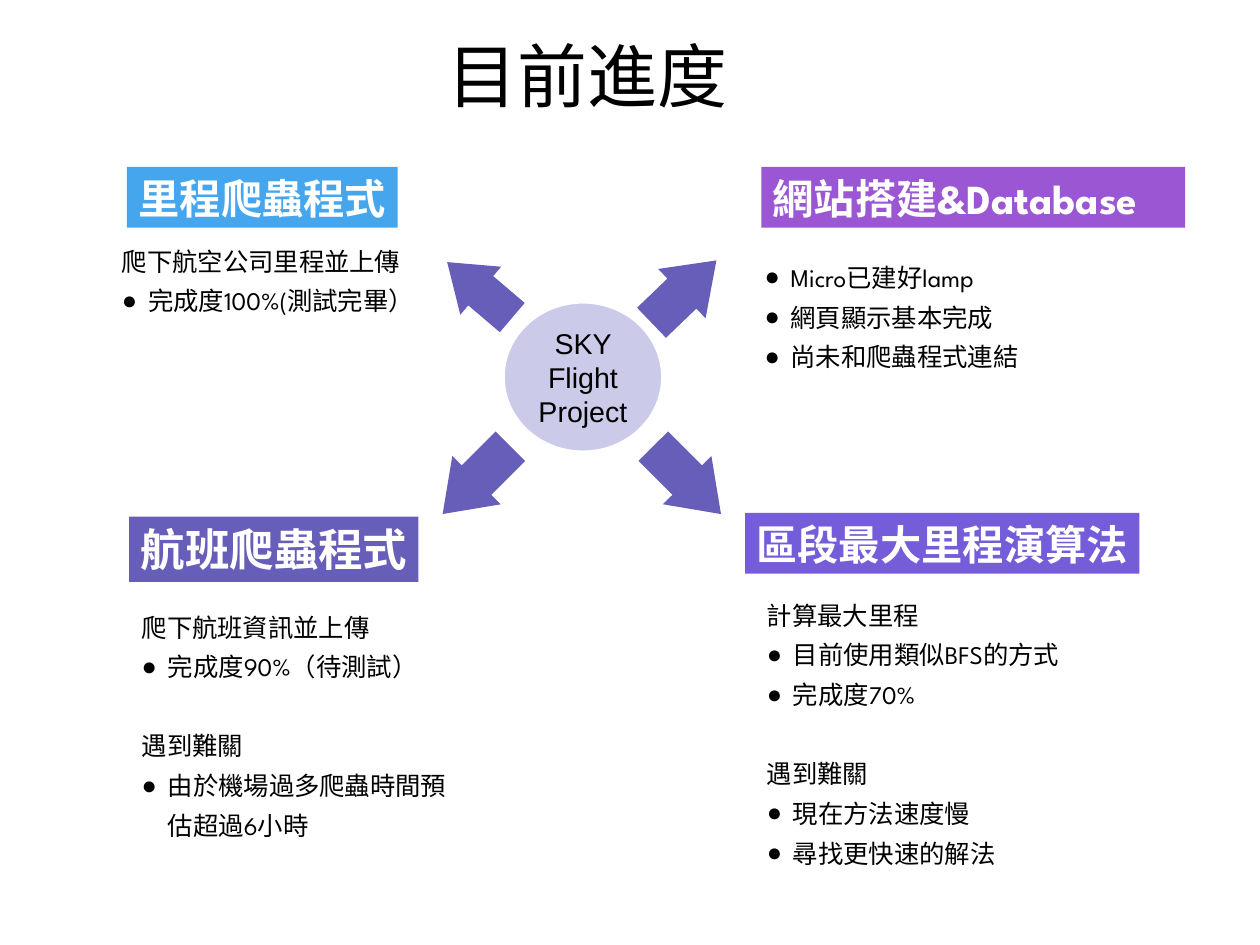
"""Builds the progress slide of a flight project: a hub, four arrows and four topics."""
from lxml.etree import SubElement
from pptx import Presentation
from pptx.dml.color import RGBColor
from pptx.enum.shapes import MSO_SHAPE as Shape
from pptx.enum.text import MSO_ANCHOR as Anchor, MSO_AUTO_SIZE as AutoSize, PP_ALIGN as Align
from pptx.oxml.ns import qn
from pptx.util import Cm, Pt

BULLET = "●"
HANGING = Cm(0.58)

TOPICS = [
    {"heading": "里程爬蟲程式", "color": "45A5ED", "size": 26, "align": Align.RIGHT,
     "bar": (2.82, 3.71, 6.02, 1.35), "area": (2.46, 5.13, 8.64, 2.01),
     "lines": ["爬下航空公司里程並上傳", "●完成度100%(測試完畢）"]},
    {"heading": "網站搭建&Database", "color": "9B57D3", "size": 26, "align": Align.LEFT,
     "bar": (16.92, 3.71, 9.42, 1.35), "area": (16.74, 5.49, 6.76, 2.9),
     "lines": ["●Micro已建好lamp", "●網頁顯示基本完成", "●尚未和爬蟲程式連結"]},
    {"heading": "航班爬蟲程式", "color": "665EB8", "size": 28, "align": Align.RIGHT,
     "bar": (2.87, 11.48, 6.43, 1.45), "area": (2.9, 13.26, 7.47, 5.54),
     "lines": ["爬下航班資訊並上傳", "●完成度90%（待測試）",
               "遇到難關", "●由於機場過多爬蟲時間預估超過6小時"]},
    {"heading": "區段最大里程演算法", "color": "755DD9", "size": 26, "align": Align.LEFT,
     "bar": (16.56, 11.4, 8.76, 1.35), "area": (16.79, 13, 8.97, 6.4),
     "lines": ["計算最大里程", "●目前使用類似BFS的方式", "●完成度70%",
               "遇到難關", "●現在方法速度慢", "●尋找更快速的解法"]},
]

ARROWS = [
    (10.59, 10.67, 2.13, 1.52, 135),
    (15.27, 10.67, 2.13, 1.52, 45.1),
    (10.66, 6.44, 1.9, 1.4, 220.4),
    (15.2, 6.48, 2, 1.52, 316.1),
]


def color(value):
    """Turn a hex string into a colour."""
    return RGBColor.from_string(value)


class ProgressPage:
    """Holds the style and the current slide."""

    text_font = "League Spartan"
    plain_font = "Arial"
    ink = "000000"
    arrow_fill = "665EB8"

    def __init__(self, page):
        """Keep the slide to draw on."""
        self.page = page

    def place(self, box, area):
        """Move and size a box, in centimetres."""
        box.left, box.top, box.width, box.height = (Cm(length) for length in area)

    def frame(self, box, margins, anchor):
        """Set margins (left, top, right, bottom) and anchor of a text frame."""
        frame = box.text_frame
        frame.word_wrap = True
        frame.auto_size = AutoSize.NONE
        frame.vertical_anchor = anchor
        (frame.margin_left, frame.margin_top,
         frame.margin_right, frame.margin_bottom) = (Cm(margin) for margin in margins)
        return frame

    def style(self, para, font, size, ink, align, bold=False):
        """Set font and alignment of a paragraph."""
        para.alignment = align
        para.font.name = font
        para.font.size = Pt(size)
        para.font.bold = bold
        para.font.color.rgb = color(ink)

    def title(self, text, area):
        """Fill the title placeholder."""
        box = self.page.shapes.title
        self.place(box, area)
        frame = self.frame(box, (0, 0, 0, 0), Anchor.MIDDLE)
        frame.text = text
        self.style(frame.paragraphs[0], self.plain_font, 44, self.ink, Align.CENTER)

    def shape(self, kind, area, fill):
        """Add a flat filled shape without outline."""
        box = self.page.shapes.add_shape(kind, *(Cm(length) for length in area))
        box.shadow.inherit = False
        box.fill.solid()
        box.fill.fore_color.rgb = color(fill)
        box.line.fill.background()
        return box

    def hub(self, text, area):
        """Add the central oval."""
        box = self.shape(Shape.OVAL, area, "CCCAE9")
        box.line.color.rgb = color("FFFFFF")
        box.line.width = Pt(1)
        frame = self.frame(box, (0.18, 0.18, 0.18, 0.18), Anchor.MIDDLE)
        frame.text = text
        self.style(frame.paragraphs[0], self.plain_font, 18, self.ink, Align.CENTER)

    def arrow(self, center_x, center_y, length, breadth, angle):
        """Add an arrow turned around its centre."""
        area = (center_x - length / 2, center_y - breadth / 2, length, breadth)
        box = self.shape(Shape.RIGHT_ARROW, area, self.arrow_fill)
        box.adjustments[0] = 0.61
        box.adjustments[1] = 0.7
        box.rotation = angle

    def heading(self, text, area, fill, size, align):
        """Add a coloured heading bar."""
        box = self.shape(Shape.RECTANGLE, area, fill)
        left, right = (0.25, 0) if align == Align.LEFT else (0, 0.25)
        frame = self.frame(box, (left, 0.13, right, 0.13), Anchor.TOP)
        frame.text = text
        self.style(frame.paragraphs[0], self.text_font, size, "FFFFFF", align, bold=True)

    def bullet(self, para, shown):
        """Switch the bullet and hanging indent of a paragraph on or off."""
        properties = para._p.get_or_add_pPr()
        properties.set("marL", str(HANGING if shown else 0))
        properties.set("indent", str(-HANGING if shown else 0))
        mark = SubElement(properties, qn("a:buChar" if shown else "a:buNone"))
        if shown:
            mark.set("char", BULLET)
        properties.find(qn("a:defRPr")).addprevious(mark)

    def topic_list(self, box, area, lines):
        """Fill a body placeholder with lead lines and their bullets."""
        self.place(box, area)
        frame = self.frame(box, (0.25, 0.13, 0.25, 0.13), Anchor.TOP)
        frame.text = "\n".join(line.lstrip(BULLET) for line in lines)
        for index, (para, line) in enumerate(zip(frame.paragraphs, lines)):
            bulleted = line.startswith(BULLET)
            self.style(para, self.text_font, 16, self.ink, Align.LEFT)
            para.line_spacing = 1.3
            para.space_before = Pt(25 if index and not bulleted else 0)
            self.bullet(para, bulleted)


def main():
    """Build and save the deck."""
    deck = Presentation()
    deck.slide_width, deck.slide_height = Cm(28), Cm(21)
    comparison = deck.slide_layouts.get_by_name("Comparison")
    page = deck.slides.add_slide(comparison)
    progress = ProgressPage(page)

    progress.title("目前進度", (0.46, -0.25, 25.2, 3.81))
    progress.hub("SKY Flight Project", (11.2, 6.73, 3.51, 3.3))
    for arrow in ARROWS:
        progress.arrow(*arrow)
    bodies = list(page.placeholders)[1:]
    for body, topic in zip(bodies, TOPICS):
        progress.heading(topic["heading"], topic["bar"], topic["color"],
                         topic["size"], topic["align"])
        progress.topic_list(body, topic["area"], topic["lines"])

    deck.save("out.pptx")


if __name__ == "__main__":
    main()
